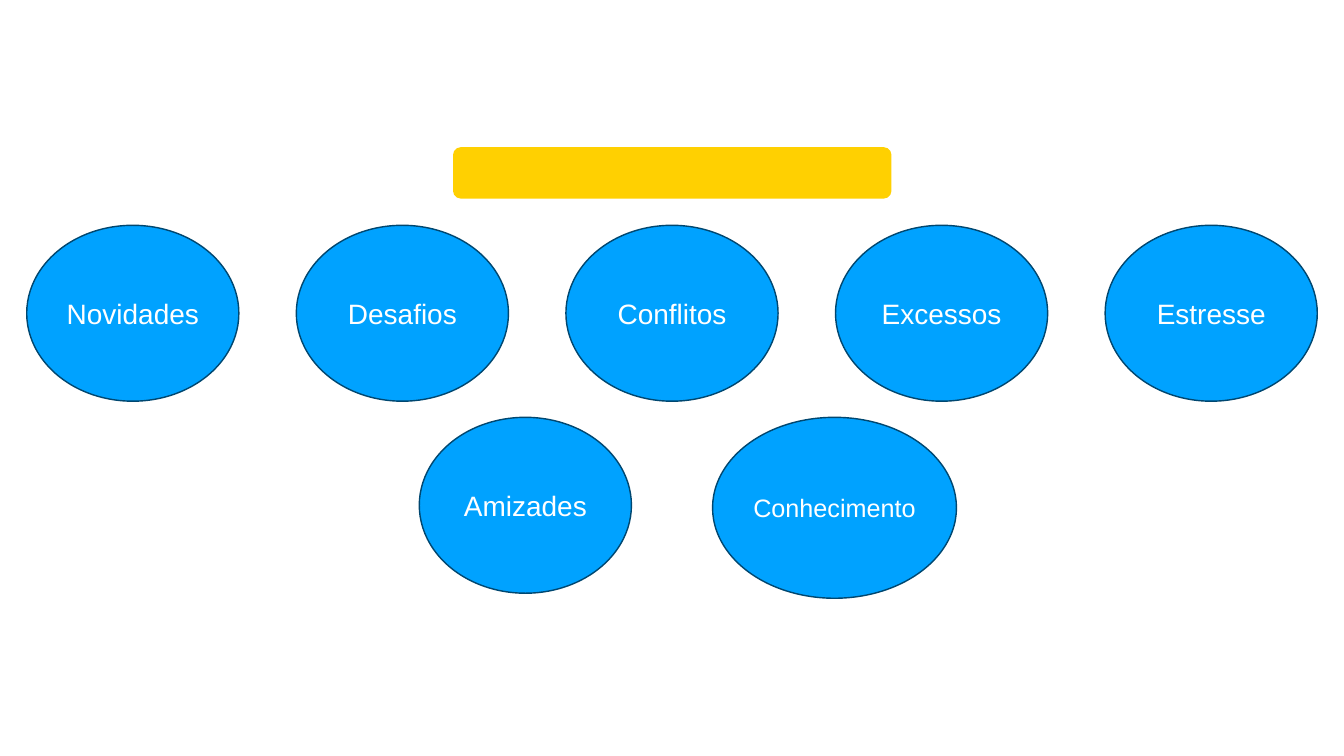
"""Build a slide of seven theme bubbles under a yellow title bar."""
from dataclasses import dataclass

from pptx import Presentation
from pptx.dml.color import RGBColor
from pptx.enum.shapes import MSO_SHAPE
from pptx.enum.text import MSO_ANCHOR, PP_ALIGN
from pptx.shapes.autoshape import Shape
from pptx.slide import Slide
from pptx.util import Emu, Pt

ELLIPSE = MSO_SHAPE.OVAL
ROUNDED = MSO_SHAPE.ROUNDED_RECTANGLE
MIDDLE = MSO_ANCHOR.MIDDLE
CENTER = PP_ALIGN.CENTER

EMU_PER_PX = 9144
SLIDE_W, SLIDE_H = 2667, 1500
BUBBLE_W, BUBBLE_H = 421, 349
SIDE_MARGIN = 53
UPPER_TOP, LOWER_TOP = 447, 828
UPPER_THEMES = ("Novidades", "Desafios", "Conflitos", "Excessos", "Estresse")

COLORS = {
    "bar": "FFD001",
    "bubble": "00A2FF",
    "outline": "004770",
    "label": "FFFFFF",
}
FRAME_FORMAT = {
    "word_wrap": True,
    "vertical_anchor": MIDDLE,
    "margin_left": 0,
    "margin_right": 0,
}


@dataclass(frozen=True)
class Box:
    """Position and size in px."""

    left: int
    top: int
    width: int
    height: int


@dataclass(frozen=True)
class Bubble:
    """A labelled ellipse."""

    label: str
    box: Box
    size: int = 40


def px(length: int) -> Emu:
    """Turn px into EMU."""
    return Emu(length * EMU_PER_PX)


def color(name: str) -> RGBColor:
    """Look up a named colour."""
    return RGBColor.from_string(COLORS[name])


def add_filled(slide: Slide, kind: MSO_SHAPE, box: Box, fill: str) -> Shape:
    """Add a flat filled shape without shadow."""
    shape = slide.shapes.add_shape(
        kind, px(box.left), px(box.top), px(box.width), px(box.height)
    )
    shape.shadow.inherit = False
    shape.fill.solid()
    shape.fill.fore_color.rgb = color(fill)
    return shape


def draw_title_bar(slide: Slide, box: Box) -> None:
    """Draw the rounded bar above the bubbles."""
    bar = add_filled(slide, ROUNDED, box, "bar")
    bar.adjustments[0] = 0.15
    bar.line.fill.background()


def draw_bubble(slide: Slide, bubble: Bubble) -> None:
    """Draw an outlined ellipse with its centred label."""
    ellipse = add_filled(slide, ELLIPSE, bubble.box, "bubble")
    ellipse.line.color.rgb = color("outline")
    ellipse.line.width = Pt(2)
    for attribute, value in FRAME_FORMAT.items():
        setattr(ellipse.text_frame, attribute, value)
    paragraph = ellipse.text_frame.paragraphs[0]
    paragraph.alignment = CENTER
    label = paragraph.add_run()
    label.text = bubble.label
    for attribute, value in {"name": "Arial", "size": Pt(bubble.size)}.items():
        setattr(label.font, attribute, value)
    label.font.color.rgb = color("label")


def upper_row() -> list[Bubble]:
    """Spread the upper themes evenly between the side margins."""
    step = (SLIDE_W - 2 * SIDE_MARGIN - BUBBLE_W) // (len(UPPER_THEMES) - 1)
    return [
        Bubble(theme, Box(SIDE_MARGIN + i * step, UPPER_TOP, BUBBLE_W, BUBBLE_H))
        for i, theme in enumerate(UPPER_THEMES)
    ]


def main() -> None:
    """Build and save the slide."""
    presentation = Presentation()
    presentation.slide_width = px(SLIDE_W)
    presentation.slide_height = px(SLIDE_H)
    slide = presentation.slides.add_slide(presentation.slide_layouts[6])
    draw_title_bar(slide, Box(899, 292, 870, 102))
    lower_row = [
        Bubble("Amizades", Box(832, LOWER_TOP, BUBBLE_W, BUBBLE_H)),
        Bubble("Conhecimento", Box(1414, LOWER_TOP, 484, 359), 36),
    ]
    for bubble in upper_row() + lower_row:
        draw_bubble(slide, bubble)
    presentation.save("out.pptx")


if __name__ == "__main__":
    main()
